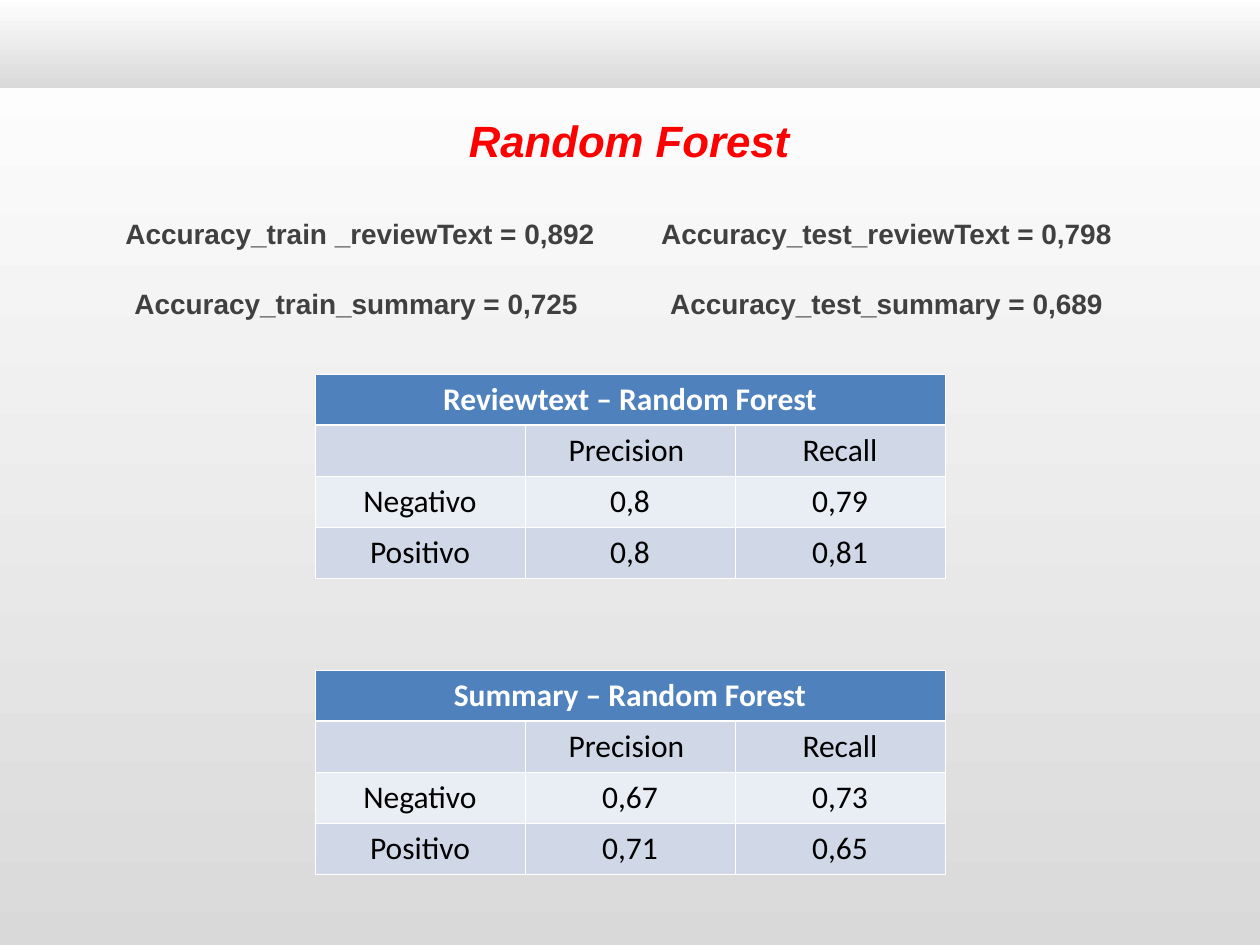
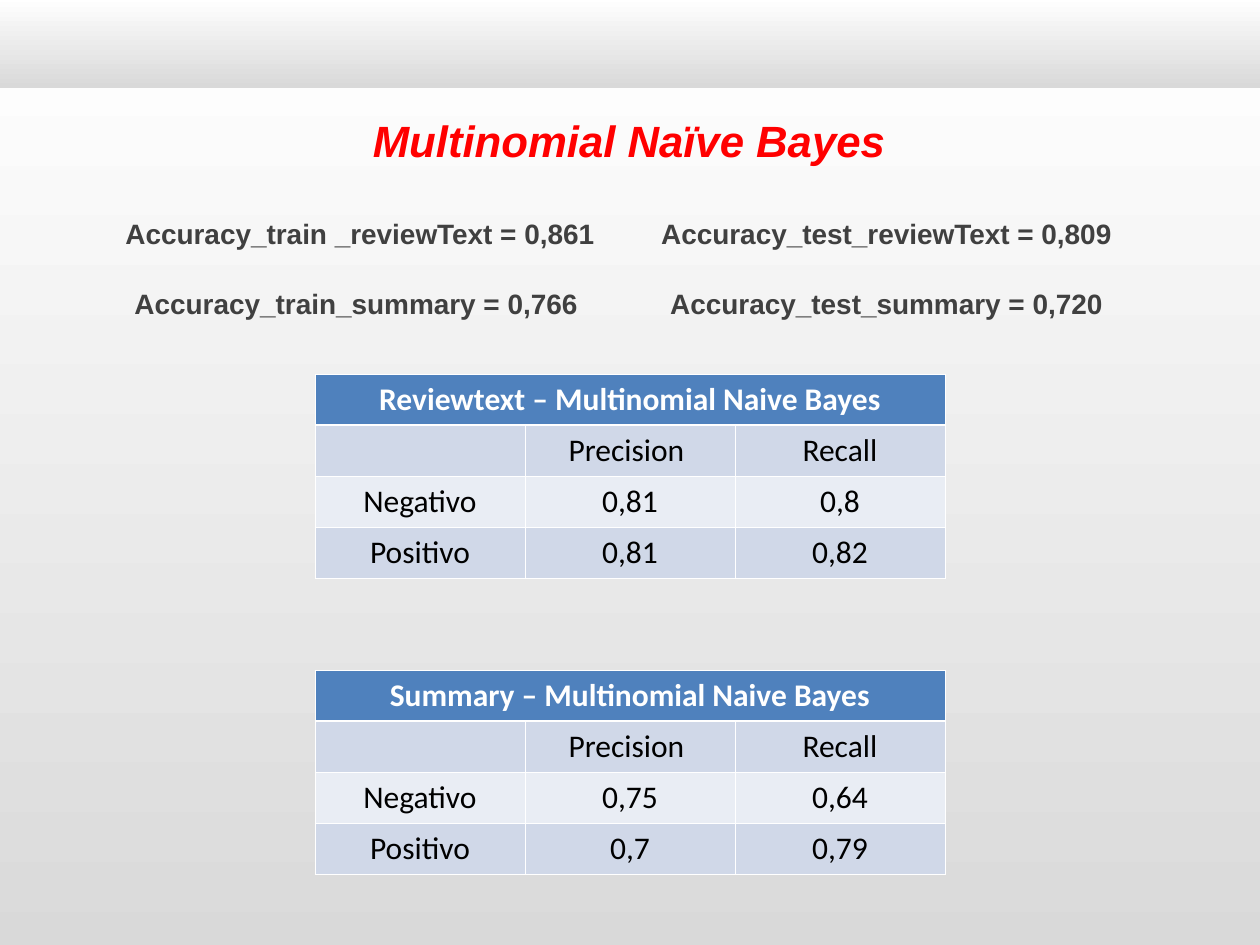
from lxml.etree import SubElement
from pptx import Presentation
from pptx.dml.color import RGBColor
from pptx.enum.shapes import MSO_SHAPE
from pptx.enum.text import MSO_ANCHOR, MSO_AUTO_SIZE, PP_ALIGN
from pptx.oxml.ns import qn
from pptx.util import Cm, Pt

WIDTH, HEIGHT = 25.4, 19.05
WHITE, GREY, RED, TEXT = "FFFFFF", "D9D9D9", "FF0000", "404040"
HEADER, BAND_DARK, BAND_LIGHT, BLACK = "4F81BD", "D0D8E8", "E9EDF4", "000000"
THIN, THICK = 0.45, 1.47


def rgb(value):
    return RGBColor.from_string(value)


def add_run(p, text, size, color, font="Arial", bold=True, italic=False):
    p.alignment = PP_ALIGN.CENTER
    r = p.add_run()
    r.text = text
    r.font.name, r.font.size = font, Pt(size)
    r.font.bold, r.font.italic = bold, italic
    r.font.color.rgb = rgb(color)


def add_gradient(s, left, top, width, height):
    sp = s.shapes.add_shape(MSO_SHAPE.RECTANGLE, Cm(left), Cm(top), Cm(width), Cm(height))
    sp.shadow.inherit = False
    sp.line.fill.background()
    sp.fill.gradient()
    sp.fill.gradient_angle = 270
    for stop, color in zip(sp.fill.gradient_stops, (WHITE, GREY)):
        stop.color.rgb = rgb(color)


def place_title(s, text, left, top, width, height):
    title = s.shapes.title
    title.left, title.top, title.width, title.height = Cm(left), Cm(top), Cm(width), Cm(height)
    s.shapes._spTree.append(title._element)
    tf = title.text_frame
    tf.word_wrap = True
    tf.auto_size = MSO_AUTO_SIZE.SHAPE_TO_FIT_TEXT
    tf.vertical_anchor = MSO_ANCHOR.TOP
    add_run(tf.paragraphs[0], text, 25, RED, italic=True)


def set_tabs(p):
    pPr = p._p.get_or_add_pPr()
    pPr.set("marL", str(Cm(0.64)))
    pPr.set("indent", str(-Cm(0.64)))
    tabs = SubElement(pPr, qn("a:tabLst"))
    for i in range(8):
        SubElement(tabs, qn("a:tab"), pos=str(Cm(2.54 * i)), algn="l")


def add_accuracies(s, lines, left, top, width, height):
    sp = s.shapes.add_textbox(Cm(left), Cm(top), Cm(width), Cm(height))
    tf = sp.text_frame
    tf.word_wrap = True
    for i, line in enumerate(lines):
        p = tf.add_paragraph() if i else tf.paragraphs[0]
        set_tabs(p)
        if i:
            p.space_before = Pt(20.5)
        add_run(p, line, 16, TEXT)


def set_borders(cell, row):
    tcPr = cell._tc.get_or_add_tcPr()
    widths = {
        "L": THIN,
        "R": THIN,
        "T": THICK if row == 1 else THIN,
        "B": THICK if row == 0 else THIN,
    }
    for side, width in widths.items():
        ln = SubElement(tcPr, qn(f"a:ln{side}"), w=str(Pt(width)))
        SubElement(SubElement(ln, qn("a:solidFill")), qn("a:srgbClr"), val=WHITE)


def add_scores(s, heading, negative, positive, left, top, width, height):
    rows = [
        (heading, "", ""),
        ("", "Precision ", "Recall"),
        ("Negativo", *negative),
        ("Positivo", *positive),
    ]
    fills = (HEADER, BAND_DARK, BAND_LIGHT, BAND_DARK)
    table = s.shapes.add_table(4, 3, Cm(left), Cm(top), Cm(width), Cm(height)).table
    for i, (values, fill) in enumerate(zip(rows, fills)):
        for j, value in enumerate(values):
            cell = table.cell(i, j)
            set_borders(cell, i)
            cell.fill.solid()
            cell.fill.fore_color.rgb = rgb(fill)
            if value:
                color = BLACK if i else WHITE
                add_run(cell.text_frame.paragraphs[0], value, 18, color, "Calibri", i == 0)
    table.cell(0, 0).merge(table.cell(0, 2))


def add_model_slide(prs, title, model, train, test, review, summary):
    s = prs.slides.add_slide(prs.slide_layouts[5])
    add_gradient(s, 0, 0.33, WIDTH, HEIGHT)
    add_gradient(s, 0, -0.05, WIDTH, 1.83)
    place_title(s, title, 3.68, 2.16, 18, 1.32)
    for name, scores, top in (("Reviewtext", review, 7.54), ("Summary", summary, 13.51)):
        add_scores(s, f"{name} – {model}", *scores, 6.35, top, 12.7, 4.12)
    lines = (
        f"Accuracy_train _reviewText = {train[0]}\t\tAccuracy_test_reviewText = {test[0]}",
        f"Accuracy_train_summary = {train[1]}\t\tAccuracy_test_summary = {test[1]}",
    )
    add_accuracies(s, lines, -0.03, 4.25, 25, 2.97)


def main():
    prs = Presentation()
    prs.slide_width, prs.slide_height = Cm(WIDTH), Cm(HEIGHT)
    add_model_slide(
        prs, "Random Forest", "Random Forest",
        train=("0,892", "0,725"), test=("0,798", "0,689"),
        review=(("0,8", "0,79"), ("0,8", "0,81")),
        summary=(("0,67", "0,73"), ("0,71", "0,65")),
    )
    add_model_slide(
        prs, "Multinomial Naïve Bayes", "Multinomial Naive Bayes",
        train=("0,861", "0,766"), test=("0,809", "0,720"),
        review=(("0,81", "0,8"), ("0,81", "0,82")),
        summary=(("0,75", "0,64"), ("0,7", "0,79")),
    )
    prs.save("out.pptx")


if __name__ == "__main__":
    main()
